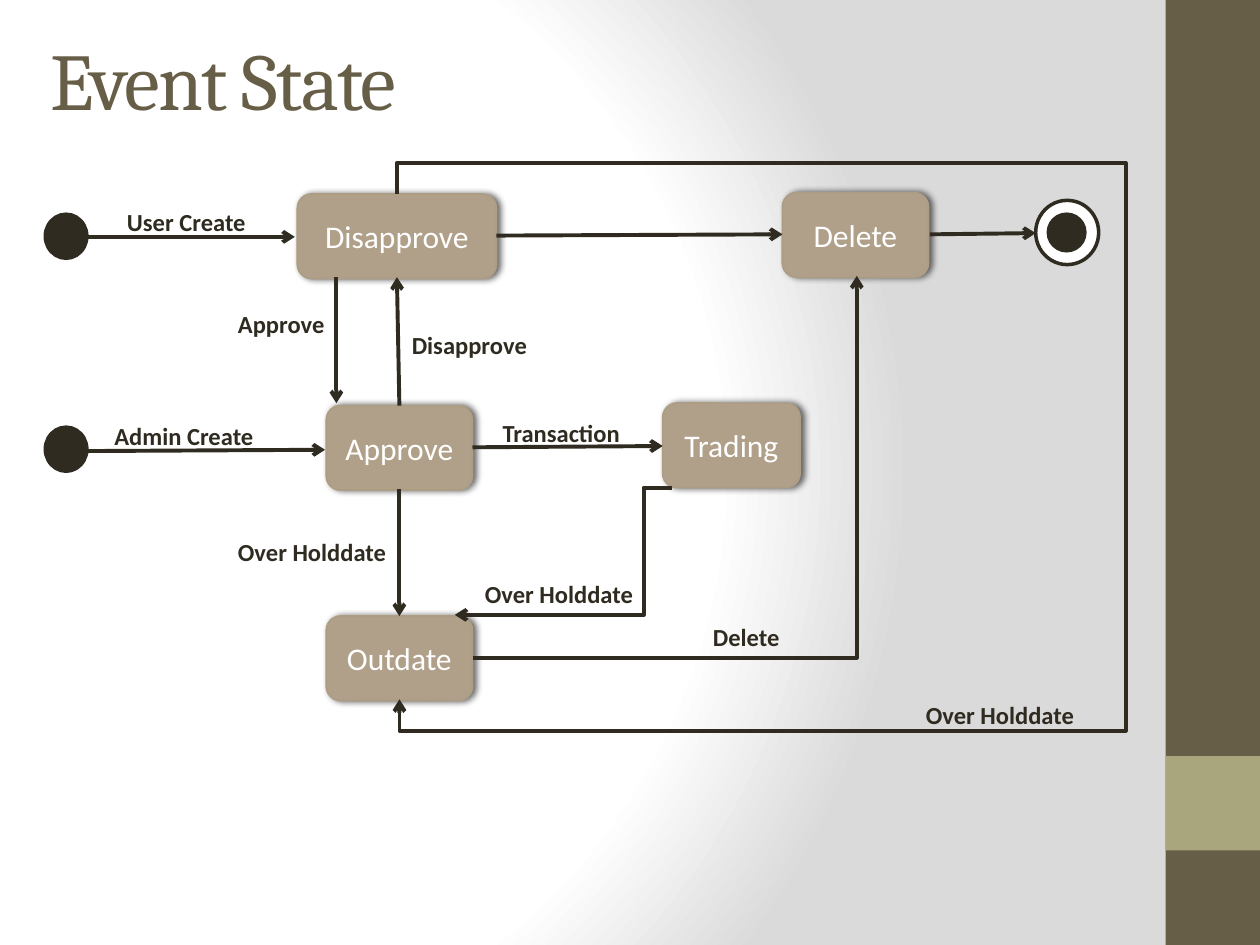
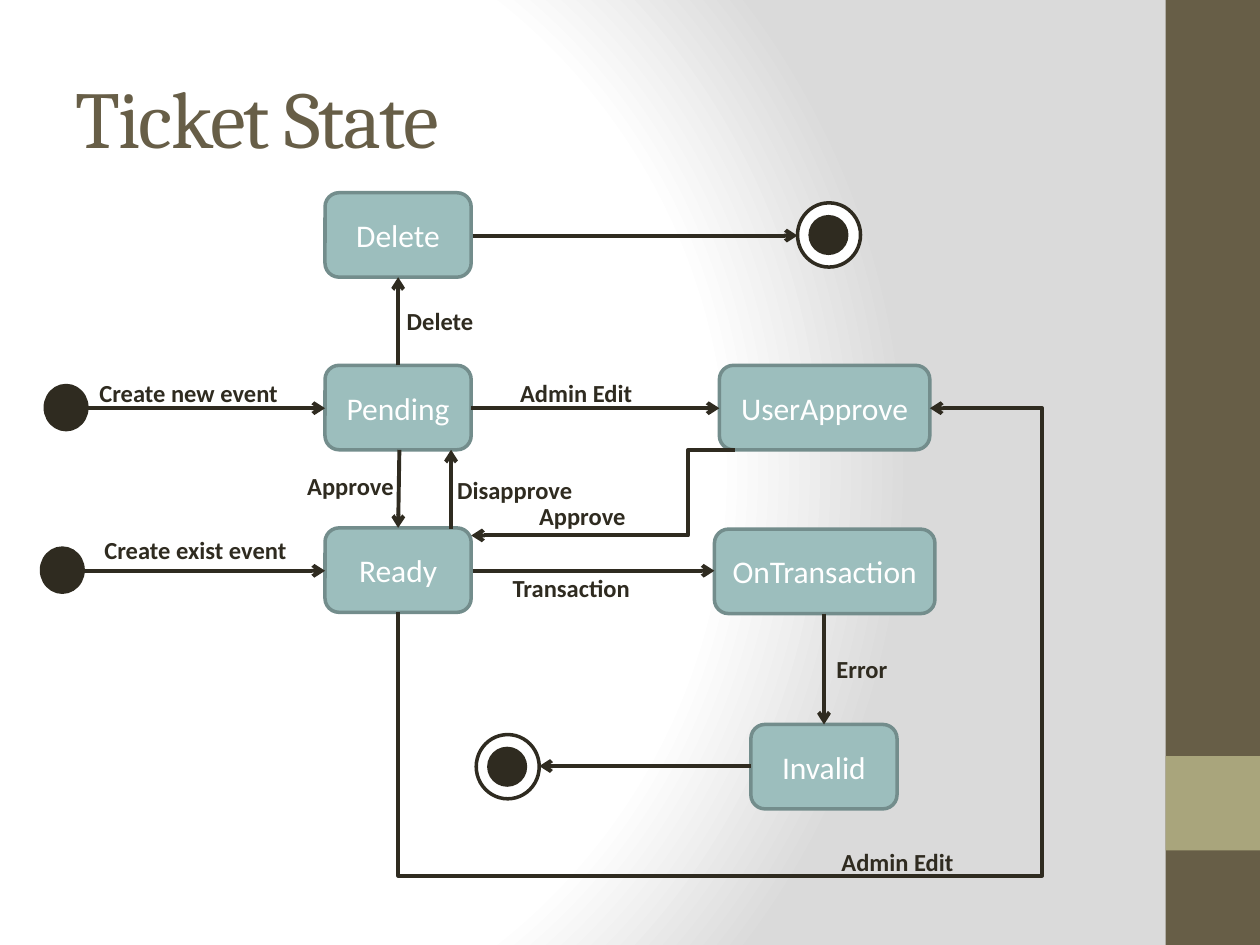
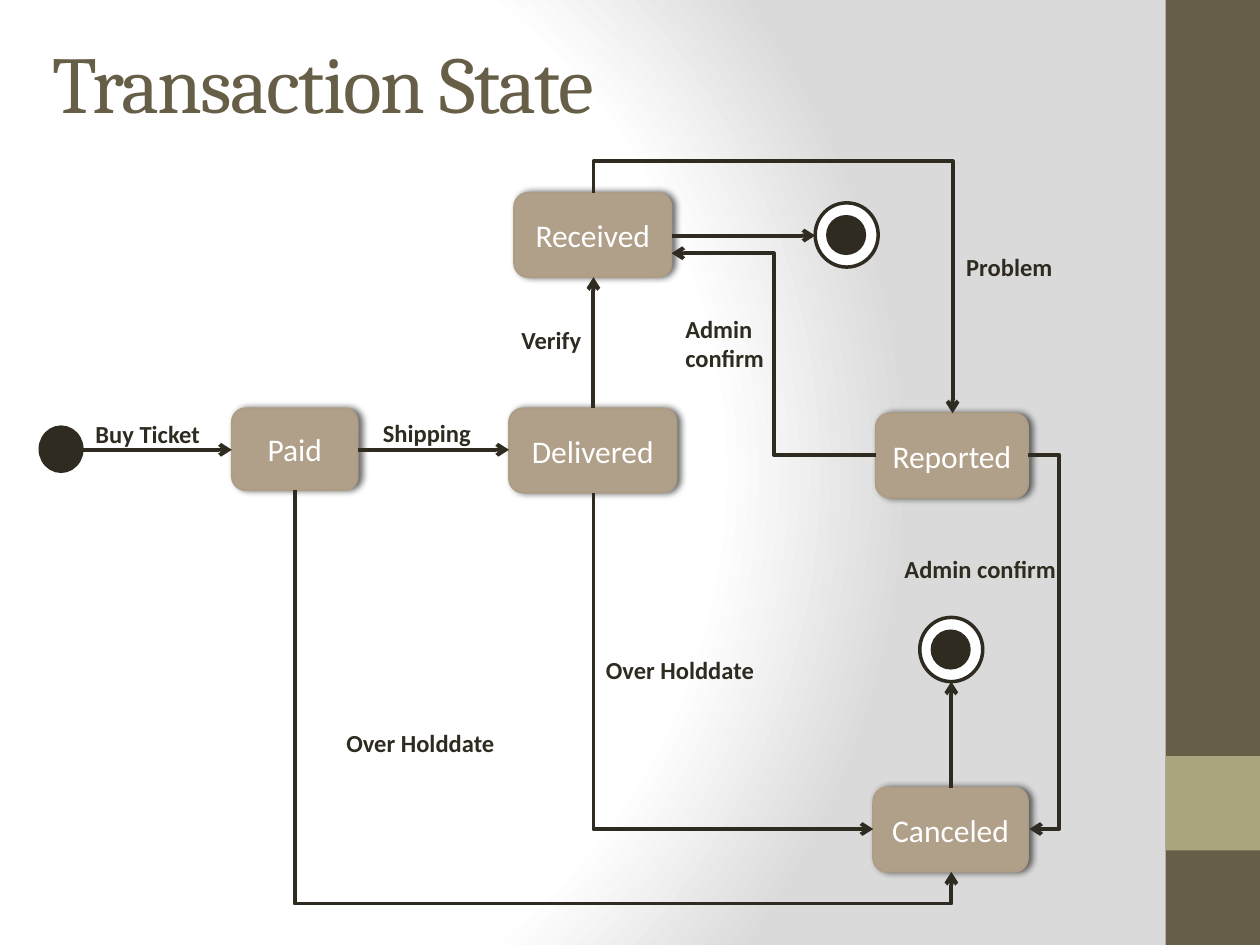
from pptx import Presentation, util as u
from pptx.dml.color import RGBColor
from pptx.enum import shapes, text
from pptx.oxml import parse_xml
from pptx.oxml.ns import nsdecls, qn

INCH = 2.54
HUES = {
    "ink": "2F2B20", "white": "FFFFFF", "grey": "DADADA",
    "olive": "675E47", "moss": "A9A57C",
    "tan": "B1A089", "tan edge": "AE9D85",
    "teal": "9CBEBD", "teal edge": "738D8C",
}
KIND = shapes.MSO_SHAPE


def size(*vals):
    return [u.Cm(val * INCH) for val in vals]


def rgb(name):
    return RGBColor.from_string(HUES[name])


class Deck:
    def __init__(self):
        self.prs = Presentation()
        self.prs.slide_width, self.prs.slide_height = size(10, 7.5)
        self.slide = None
        self.look = "tan"
        self.glow()

    def glow(self):
        master = self.prs.slide_master
        master.background.fill.gradient()
        old = master.element.find(".//" + qn("a:gradFill"))
        stops = "".join(
            f'<a:gs pos="{pos}000"><a:srgbClr val="{HUES[hue]}"/></a:gs>'
            for pos, hue in ((0, "white"), (75, "white"), (100, "grey")))
        old.getparent().replace(old, parse_xml(
            f'<a:gradFill {nsdecls("a")} rotWithShape="1"><a:gsLst>{stops}</a:gsLst>'
            '<a:path path="circle"><a:fillToRect l="20000" t="50000" r="100000" b="50000"/>'
            '</a:path></a:gradFill>'))

    def page(self, title, x, y, look):
        self.slide = self.prs.slides.add_slide(self.prs.slide_layouts[6])
        self.look = look
        self.shape(KIND.RECTANGLE, 9.25, 0, 0.75, 7.5, "olive")
        self.shape(KIND.RECTANGLE, 9.25, 6, 0.75, 0.75, "moss")
        box = self.slide.shapes.add_textbox(*size(x, y, 8.33, 1.25))
        run = self.letter(box, title, 46, "olive", "Cambria")
        run.font._element.set("spc", "-100")
        box.text_frame.vertical_anchor = text.MSO_ANCHOR.MIDDLE

    def shape(self, kind, x, y, w, h, fill, edge=None, thick=2):
        item = self.slide.shapes.add_shape(kind, *size(x, y, w, h))
        item.shadow.inherit = False
        item.fill.solid()
        item.fill.fore_color.rgb = rgb(fill)
        if edge:
            item.line.color.rgb = rgb(edge)
            item.line.width = u.Pt(thick)
        else:
            item.line.fill.background()
        return item

    def letter(self, item, words, points, hue, face="Calibri", bold=False):
        frame = item.text_frame
        frame.word_wrap = True
        frame.text = words
        run = frame.paragraphs[0].runs[0]
        run.font.size = u.Pt(points)
        run.font.name = face
        run.font.bold = bold
        run.font.color.rgb = rgb(hue)
        return run

    def state(self, name, x, y, w=1.16, h=0.67):
        raised = self.look == "tan"
        item = self.shape(KIND.ROUNDED_RECTANGLE, x, y, w, h, self.look,
                          self.look + " edge", 1 if raised else 2)
        self.letter(item, name, 18, "white")
        frame = item.text_frame
        frame.vertical_anchor = text.MSO_ANCHOR.MIDDLE
        frame.margin_left = frame.margin_right = u.Cm(0.1)
        frame.paragraphs[0].alignment = text.PP_ALIGN.CENTER
        if raised:
            item._element.spPr.find(qn("a:effectLst")).append(parse_xml(
                f'<a:outerShdw {nsdecls("a")} blurRad="50800" dist="25400" dir="0">'
                '<a:srgbClr val="000000"><a:alpha val="60000"/></a:srgbClr></a:outerShdw>'))

    def label(self, words, x, y, w=1.67, h=0.34):
        box = self.slide.shapes.add_textbox(*size(x, y, w, h))
        self.letter(box, words, 14, "ink", bold=True)
        box.text_frame.auto_size = text.MSO_AUTO_SIZE.SHAPE_TO_FIT_TEXT

    def start(self, x, y):
        self.shape(KIND.OVAL, x, y, 0.33, 0.35, "ink", "ink")

    def finish(self, x, y):
        self.shape(KIND.OVAL, x, y, 0.5, 0.51, "white", "ink")
        self.shape(KIND.OVAL, x + 0.1, y + 0.11, 0.29, 0.29, "ink", "ink")

    def line(self, kind, *ends):
        link = self.slide.shapes.add_connector(kind, *size(*ends))
        link.line.color.rgb = rgb("ink")
        link.line.width = u.Pt(2.25)
        link.line._get_or_add_ln().append(
            parse_xml(f'<a:tailEnd {nsdecls("a")} type="arrow"/>'))
        link._element.spPr.append(parse_xml(f'<a:effectLst {nsdecls("a")}/>'))
        return link

    def arrow(self, *ends):
        self.line(shapes.MSO_CONNECTOR.STRAIGHT, *ends)

    def bend(self, x1, y1, x2, y2, turns=(), down=False):
        ends = x1, y1, x2, y2
        turn = 0
        if down:
            mid_x, mid_y = (x1 + x2) / 2, (y1 + y2) / 2
            half_w, half_h = abs(y2 - y1) / 2, (x2 - x1) / 2
            turn = 270 if y2 > y1 else 90
            if turn == 90:
                half_h = -half_h
            ends = mid_x + half_w, mid_y - half_h, mid_x - half_w, mid_y + half_h
        link = self.line(shapes.MSO_CONNECTOR.ELBOW, *ends)
        props = link._element.spPr
        if turn:
            props.find(qn("a:xfrm")).set("rot", str(turn * 60000))
        geom = props.find(qn("a:prstGeom"))
        geom.set("prst", f"bentConnector{len(turns) + 2}")
        guides = geom.find(qn("a:avLst"))
        for num, spot in enumerate(turns):
            tall = down == (num % 2 == 0)
            low, high = (y1, y2) if tall else (x1, x2)
            part = round((spot - low) / (high - low) * 100000)
            guides.append(parse_xml(
                f'<a:gd {nsdecls("a")} name="adj{num + 1}" fmla="val {part}"/>'))


def event(deck):
    deck.page("Event State", 0.3, 0, "tan")
    deck.start(0.36, 3.39)
    deck.start(0.36, 1.7)
    deck.state("Approve", 2.59, 3.22)
    deck.state("Outdate", 2.59, 4.89)
    deck.state("Disapprove", 2.36, 1.54, 1.58)
    deck.state("Trading", 5.26, 3.2, 1.09)
    deck.state("Delete", 6.21, 1.53)
    deck.finish(8.22, 1.59)
    for ends in (
        (0.67, 3.58, 2.58, 3.57), (3.17, 3.88, 3.17, 4.89),
        (3.75, 3.55, 5.26, 3.54), (3.94, 1.87, 6.21, 1.86),
        (3.17, 3.22, 3.15, 2.2), (0.7, 1.88, 2.34, 1.88),
        (7.38, 1.86, 8.22, 1.85), (2.67, 2.2, 2.67, 3.2),
    ):
        deck.arrow(*ends)
    deck.bend(5.33, 3.87, 3.61, 4.88, [5.11])
    deck.bend(3.75, 5.22, 6.8, 2.19)
    deck.bend(3.15, 1.54, 3.17, 5.55, [1.29, 8.91, 5.8], down=True)
    for words, x, y in (
        ("Admin Create", 0.81, 3.29), ("Disapprove", 3.17, 2.57),
        ("Over Holddate", 1.79, 4.21), ("Transaction", 3.89, 3.27),
        ("User Create", 0.91, 1.59), ("Over Holddate", 3.75, 4.55),
        ("Approve", 1.79, 2.4), ("Delete", 5.56, 4.89),
        ("Over Holddate", 7.25, 5.51),
    ):
        deck.label(words, x, y)


def ticket(deck):
    deck.page("Ticket State", 0.5, 0.3, "teal")
    deck.start(0.36, 3.06)
    deck.start(0.33, 4.35)
    deck.state("Pending", 2.58, 2.9)
    deck.state("Ready", 2.58, 4.19)
    deck.state("Invalid", 5.96, 5.75)
    deck.state("OnTransaction", 5.67, 4.2, 1.75)
    deck.state("Delete", 2.58, 1.53)
    deck.state("UserApprove", 5.71, 2.9, 1.67)
    deck.finish(6.33, 1.61)
    deck.finish(3.78, 5.83)
    for ends in (
        (0.69, 3.24, 2.58, 3.24), (0.67, 4.53, 2.58, 4.53),
        (3.17, 3.57, 3.16, 4.19), (6.54, 4.87, 6.54, 5.75),
        (3.74, 3.24, 5.71, 3.24), (3.75, 4.53, 5.67, 4.53),
        (3.75, 1.87, 6.33, 1.87), (3.58, 4.2, 3.58, 3.57),
        (3.16, 2.9, 3.16, 2.2), (5.96, 6.08, 4.28, 6.08),
    ):
        deck.arrow(*ends)
    deck.bend(3.16, 4.86, 7.38, 3.24, [6.95, 8.27], down=True)
    deck.bend(5.83, 3.57, 3.74, 4.25, [5.46])
    for words, x, y in (
        ("Create new event", 0.69, 2.95), ("Create exist event", 0.73, 4.2),
        ("Delete", 3.13, 2.38), ("Approve", 2.34, 3.69),
        ("Admin Edit", 4.03, 2.95), ("Admin Edit", 6.58, 6.67),
        ("Error", 6.54, 5.14), ("Approve", 4.18, 3.93),
        ("Disapprove", 3.53, 3.72), ("Transaction", 3.97, 4.5),
    ):
        deck.label(words, x, y)


def trade(deck):
    deck.page("Transaction State", 0.32, 0.02, "tan")
    deck.start(0.32, 3.39)
    deck.state("Paid", 1.84, 3.24, 1, 0.65)
    deck.state("Delivered", 4.04, 3.24, 1.33)
    deck.state("Canceled", 6.93, 6.25, 1.23)
    deck.state("Received", 4.08, 1.53, 1.25)
    deck.state("Reported", 6.95, 3.28, 1.21)
    deck.finish(6.47, 1.61)
    deck.finish(7.3, 4.9)
    for ends in (
        (0.66, 3.57, 1.84, 3.57), (5.33, 1.87, 6.47, 1.87),
        (2.84, 3.57, 4.04, 3.57), (4.71, 3.24, 4.71, 2.2),
        (7.55, 6.25, 7.55, 5.41),
    ):
        deck.arrow(*ends)
    deck.bend(4.71, 1.53, 7.56, 3.28, [1.28], down=True)
    deck.bend(2.34, 3.89, 7.55, 6.92, [7.17], down=True)
    deck.bend(4.71, 3.91, 6.93, 6.58, down=True)
    deck.bend(8.16, 3.61, 8.17, 6.58, [8.41])
    deck.bend(6.95, 3.61, 5.33, 2.01, [6.14])
    for words, x, y in (
        ("Buy Ticket", 0.66, 3.28), ("Shipping", 2.94, 3.27),
        ("Over Holddate", 2.65, 5.73), ("Over Holddate", 4.71, 5.15),
        ("Admin confirm", 7.08, 4.35), ("Problem", 7.57, 1.95),
        ("Verify", 4.04, 2.53),
    ):
        deck.label(words, x, y)
    deck.label("Admin confirm", 5.34, 2.44, 1.19, 0.57)


def main():
    deck = Deck()
    for build in (event, ticket, trade):
        build(deck)
    deck.prs.save("out.pptx")


if __name__ == "__main__":
    main()
